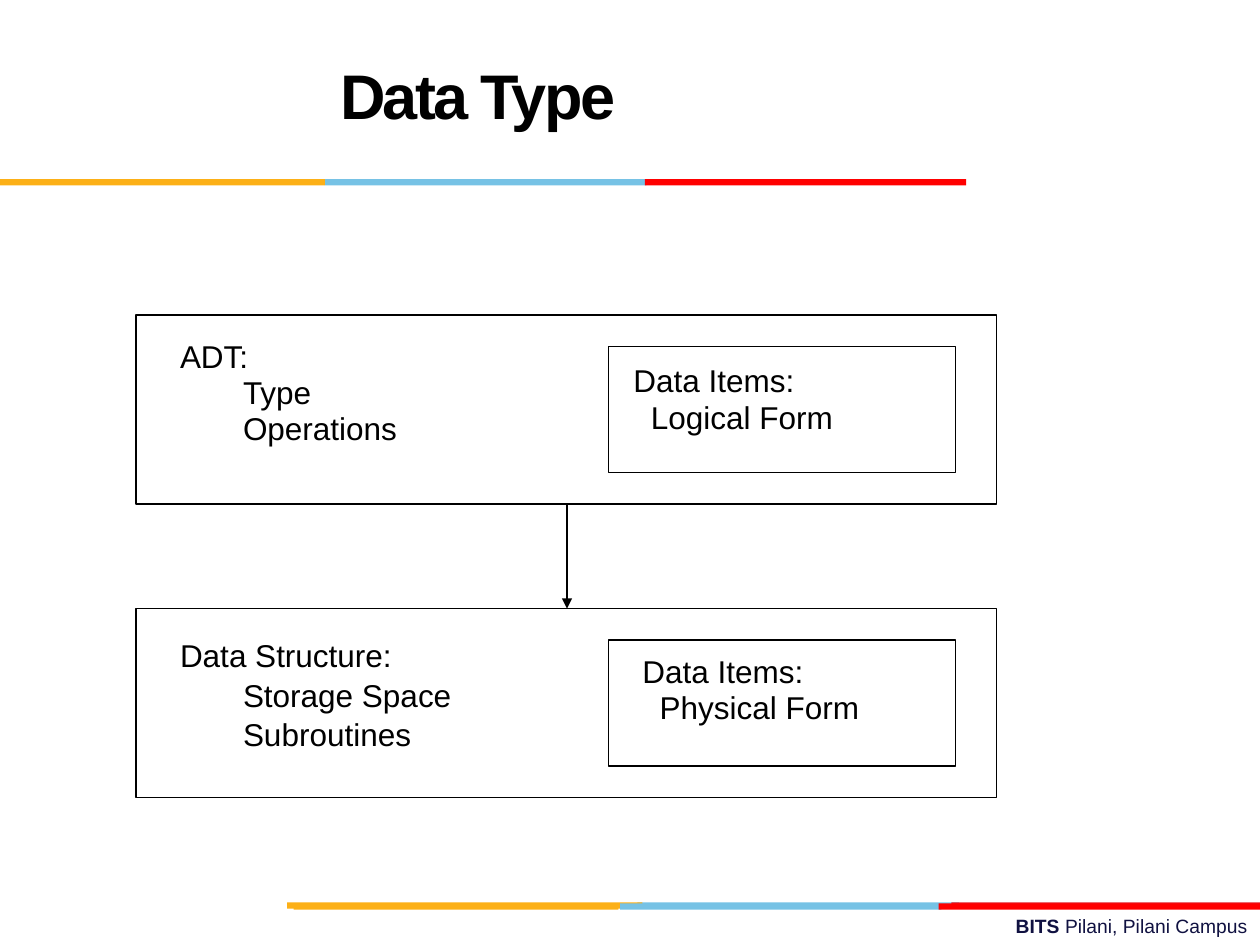
from lxml import etree
from pptx import Presentation
from pptx import util as u
from pptx.dml.color import RGBColor
from pptx.enum import shapes, text
from pptx.oxml import ns

COLORS = {
    "black": "000000", "navy": "101141", "gold": "FCB017",
    "sky": "76C2E5", "crimson": "E31C24", "red": "FF0000",
}
BARS = [
    (12.85, 18.19, 6.48, "sky"), (19.18, 18.19, 6.22, "crimson"),
    (5.79, 18.19, 7.16, "gold"),
    (12.5, 18.21, 6.48, "sky"), (5.92, 18.21, 6.55, "gold"),
    (18.92, 18.21, 6.48, "red"),
    (6.55, 3.61, 6.48, "sky"), (0, 3.61, 6.55, "gold"),
    (13, 3.61, 6.48, "red"),
]
BAR_HEIGHT = 0.13
FRAME_TOPS = (6.35, 12.27)
FRAME_LEFT, FRAME_WIDTH, FRAME_HEIGHT = 2.74, 17.35, 3.81
ITEM_LEFT, ITEM_WIDTH, ITEM_HEIGHT, ITEM_INSET = 12.27, 6.99, 2.54, 0.635
ARROW_X = 11.43
TIGHT = {"line_spacing": 0.5, "space_before": u.Pt(10)}
LOOSE = {"space_before": u.Pt(1)}


def color(name):
    return RGBColor.from_string(COLORS[name])


def apply(target, values):
    for name, value in values.items():
        setattr(target, name, value)


def add_rectangle(page, left, top, width, height, fill=None):
    box = page.shapes.add_shape(
        shapes.MSO_SHAPE.RECTANGLE,
        u.Cm(left), u.Cm(top), u.Cm(width), u.Cm(height))
    box.shadow.inherit = False
    if fill:
        box.fill.solid()
        box.fill.fore_color.rgb = color(fill)
        box.line.fill.background()
    else:
        box.fill.background()
        box.line.color.rgb = color("black")
        box.line.width = u.Pt(0.75)


def add_arrow(page, x, top, bottom):
    arrow = page.shapes.add_connector(
        shapes.MSO_CONNECTOR.STRAIGHT,
        u.Cm(x), u.Cm(top), u.Cm(x), u.Cm(bottom))
    arrow.line.color.rgb = color("black")
    arrow.line.width = u.Pt(0.75)
    etree.SubElement(arrow.line._get_or_add_ln(), ns.qn("a:tailEnd"), type="triangle")
    etree.SubElement(arrow._element.spPr, ns.qn("a:effectLst"))


def add_text_box(page, left, top, width, height, wrap=True):
    box = page.shapes.add_textbox(
        u.Cm(left), u.Cm(top), u.Cm(width), u.Cm(height))
    box.text_frame.word_wrap = wrap
    return box.text_frame


def add_span(para, words, size, ink="black", bold=False):
    span = para.add_run()
    span.text = words
    apply(span.font, {"name": "Arial", "size": u.Pt(size), "bold": bold})
    span.font.color.rgb = color(ink)
    return span


def add_list(page, place, lines, indent, spacing, level=0, wrap=True):
    frame = add_text_box(page, *place, wrap=wrap)
    for index, words in enumerate(lines):
        para = frame.paragraphs[0] if index == 0 else frame.add_paragraph()
        apply(para, spacing)
        if index == 0:
            para.space_before = u.Pt(0)
        else:
            para.level = level
            properties = para._p.get_or_add_pPr()
            properties.set("marL", str(u.Cm(indent)))
            properties.set("indent", "0")
        add_span(para, words, 18)


def add_title(page, words):
    frame = add_text_box(page, 0.84, 0.43, 17.58, 3.18)
    frame.vertical_anchor = text.MSO_ANCHOR.MIDDLE
    para = frame.paragraphs[0]
    apply(para, {"alignment": text.PP_ALIGN.CENTER, "line_spacing": u.Pt(36)})
    span = add_span(para, words, 36, bold=True)
    span._r.get_or_add_rPr().set("spc", "-150")


def add_footer(page):
    para = add_text_box(page, 9.09, 18.31, 16.31, 0.74).paragraphs[0]
    para.alignment = text.PP_ALIGN.RIGHT
    add_span(para, "BITS ", 11, "navy", True)
    add_span(para, "Pilani, Pilani Campus", 11, "navy")


def main():
    deck = Presentation()
    apply(deck, {"slide_width": u.Cm(25.4), "slide_height": u.Cm(19.05)})
    page = deck.slides.add_slide(deck.slide_layouts[6])

    add_footer(page)
    for left, top, width, fill in BARS:
        add_rectangle(page, left, top, width, BAR_HEIGHT, fill)

    for top in FRAME_TOPS:
        add_rectangle(page, FRAME_LEFT, top, FRAME_WIDTH, FRAME_HEIGHT)
        add_rectangle(page, ITEM_LEFT, top + ITEM_INSET, ITEM_WIDTH, ITEM_HEIGHT)
    add_arrow(page, ARROW_X, FRAME_TOPS[0] + FRAME_HEIGHT, FRAME_TOPS[1])

    add_list(page, (3.38, 6.99, 6.99, 2.79),
             ["ADT:", "Type", "Operations"], 1.27, TIGHT, level=1)
    add_list(page, (12.52, 7.49, 6.96, 1.78),
             ["Data Items:", "Logical Form"], 0.35, TIGHT)
    add_list(page, (12.7, 13.34, 6.99, 1.78),
             ["Data Items:", "Physical Form"], 0.35, TIGHT)
    add_list(page, (3.38, 12.7, 7.39, 3.3),
             ["Data Structure:", "Storage Space", "Subroutines"],
             1.27, LOOSE, level=1, wrap=False)
    add_title(page, "Data Type")
    deck.save("out.pptx")


if __name__ == "__main__":
    main()
